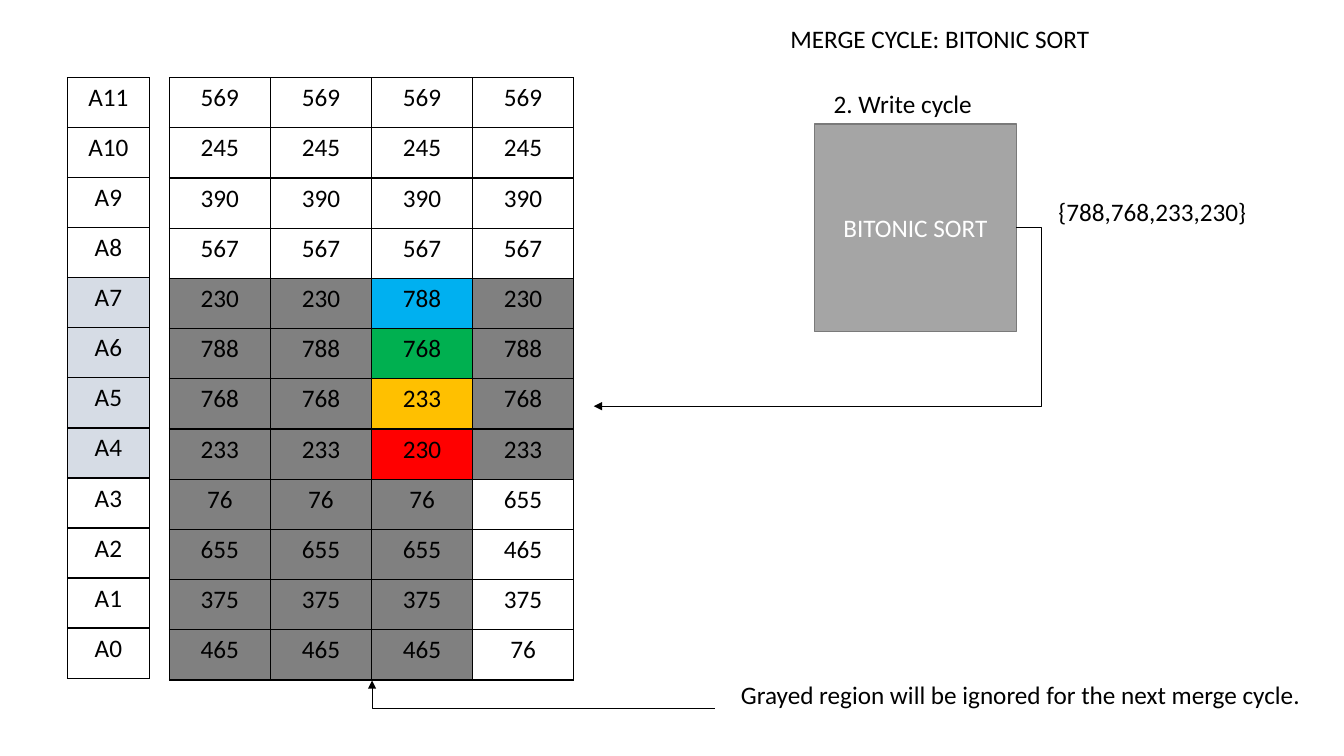
from lxml.etree import SubElement
from pptx import Presentation
from pptx.dml.color import RGBColor
from pptx.enum.shapes import MSO_CONNECTOR as Connector, MSO_SHAPE as Preset
from pptx.enum.text import MSO_ANCHOR as Anchor, MSO_AUTO_SIZE as AutoSize, PP_ALIGN as Align
from pptx.oxml.ns import qn
from pptx.util import Inches, Pt

BLACK = RGBColor(0x00, 0x00, 0x00)
WHITE = RGBColor(0xFF, 0xFF, 0xFF)
IGNORED_GRAY = RGBColor(0x80, 0x80, 0x80)
BOX_GRAY = RGBColor(0xA5, 0xA5, 0xA5)
BOX_EDGE = RGBColor(0x7A, 0x7A, 0x7A)
ADDRESS_BLUE = RGBColor(0xD6, 0xDC, 0xE5)
MERGED_COLORS = [RGBColor(0x00, 0xB0, 0xF0), RGBColor(0x00, 0xB0, 0x50),
                 RGBColor(0xFF, 0xC0, 0x00), RGBColor(0xFF, 0x00, 0x00)]


class SlideBuilder:
    """Holds the text style and the slide being filled."""

    font = {"name": "Calibri", "size": Pt(18), "bold": False}

    def __init__(self, slide):
        self.slide = slide

    def add_text(self, frame, text, color=BLACK, align=Align.CENTER):
        paragraph = frame.paragraphs[0]
        paragraph.alignment = align
        run = paragraph.add_run()
        run.text = text
        for name, value in self.font.items():
            setattr(run.font, name, value)
        run.font.color.rgb = color

    def label(self, text, *box):
        frame = self.slide.shapes.add_textbox(*map(Inches, box)).text_frame
        frame.word_wrap = True
        frame.auto_size = AutoSize.SHAPE_TO_FIT_TEXT
        self.add_text(frame, text, align=Align.LEFT)

    def box(self, text, *box):
        shape = self.slide.shapes.add_shape(Preset.RECTANGLE, *map(Inches, box))
        shape.shadow.inherit = False
        shape.fill.solid()
        shape.fill.fore_color.rgb = BOX_GRAY
        shape.line.color.rgb = BOX_EDGE
        shape.line.width = Pt(1)
        shape.text_frame.vertical_anchor = Anchor.MIDDLE
        self.add_text(shape.text_frame, text, WHITE)

    def border(self, cell):
        properties = cell._tc.get_or_add_tcPr()
        for side in ("a:lnL", "a:lnR", "a:lnT", "a:lnB"):
            line = SubElement(properties, qn(side), w=str(Pt(1)))
            fill = SubElement(line, qn("a:solidFill"))
            SubElement(fill, qn("a:srgbClr"), val=str(BLACK))

    def table(self, columns, fills, *box):
        """Fill a grid by column; fills maps (row, column) to a color."""
        rows = list(zip(*columns))
        frame = self.slide.shapes.add_table(len(rows), len(columns), *map(Inches, box))
        table = frame.table
        table.first_row = table.horz_banding = False
        for row, values in enumerate(rows):
            for column, value in enumerate(values):
                cell = table.cell(row, column)
                self.add_text(cell.text_frame, str(value))
                self.border(cell)
                if (row, column) in fills:
                    cell.fill.solid()
                    cell.fill.fore_color.rgb = fills[row, column]
                else:
                    cell.fill.background()

    def elbow_arrow(self, start, end, bend=None):
        """Three segments when bend is given, otherwise a single corner."""
        first, last = (end, start) if bend is None else (start, end)
        connector = self.slide.shapes.add_connector(
            Connector.ELBOW, *map(Inches, first + last))
        connector.line.color.rgb = BLACK
        connector.line.width = Pt(0.5)
        properties = connector._element.spPr
        SubElement(properties.find(qn("a:ln")), qn("a:tailEnd"), type="triangle")
        SubElement(properties, qn("a:effectLst"))
        geometry = properties.find(qn("a:prstGeom"))
        if bend is None:
            geometry.set("prst", "bentConnector2")
            properties.find(qn("a:xfrm")).set("rot", str(180 * 60000))
        else:
            SubElement(geometry.find(qn("a:avLst")), qn("a:gd"),
                       name="adj1", fmla=f"val {round(bend * 100000)}")


presentation = Presentation()
presentation.slide_width = Inches(13.33)
presentation.slide_height = Inches(7.5)
builder = SlideBuilder(presentation.slides.add_slide(presentation.slide_layouts[6]))

# Memory columns: before, before, after the merge, next cycle
unsorted = [569, 245, 390, 567]
tail = [76, 655, 375, 465]
loaded = unsorted + [230, 788, 768, 233]
merged = unsorted + [788, 768, 233, 230]
memory = [loaded + tail, loaded + tail, merged + tail, loaded + [655, 465, 375, 76]]

# Gray region, with the merged block and its addresses highlighted
active_rows = range(4, 8)
memory_fills = {(row, column): IGNORED_GRAY
                for row in range(4, 12) for column in range(4)
                if column < 3 or row in active_rows}
memory_fills.update({(row, 2): color for row, color in zip(active_rows, MERGED_COLORS)})
address_fills = {(row, 0): ADDRESS_BLUE for row in active_rows}
addresses = [f"A{index}" for index in reversed(range(12))]

builder.table(memory, memory_fills, 1.68, 0.77, 4.01, 5.98)
builder.table([addresses], address_fills, 0.67, 0.77, 0.81, 5.96)

# Sorter and arrows
builder.box("BITONIC SORT", 8.08, 1.23, 2, 2.06)
builder.elbow_arrow((10.08, 2.26), (5.89, 4.03), bend=-0.06)
builder.elbow_arrow((7.09, 7.03), (3.69, 6.75))

# Captions
builder.label("2. Write cycle", 8.17, 0.83, 1.91, 0.4)
builder.label("Grayed region will be ignored for the next merge cycle.", 7.25, 6.69, 5.79, 0.4)
builder.label("{788,768,233,230}", 10.4, 1.9, 2.07, 0.4)
builder.label("MERGE CYCLE: BITONIC SORT", 7.74, 0.18, 3.25, 0.4)

presentation.save("out.pptx")
